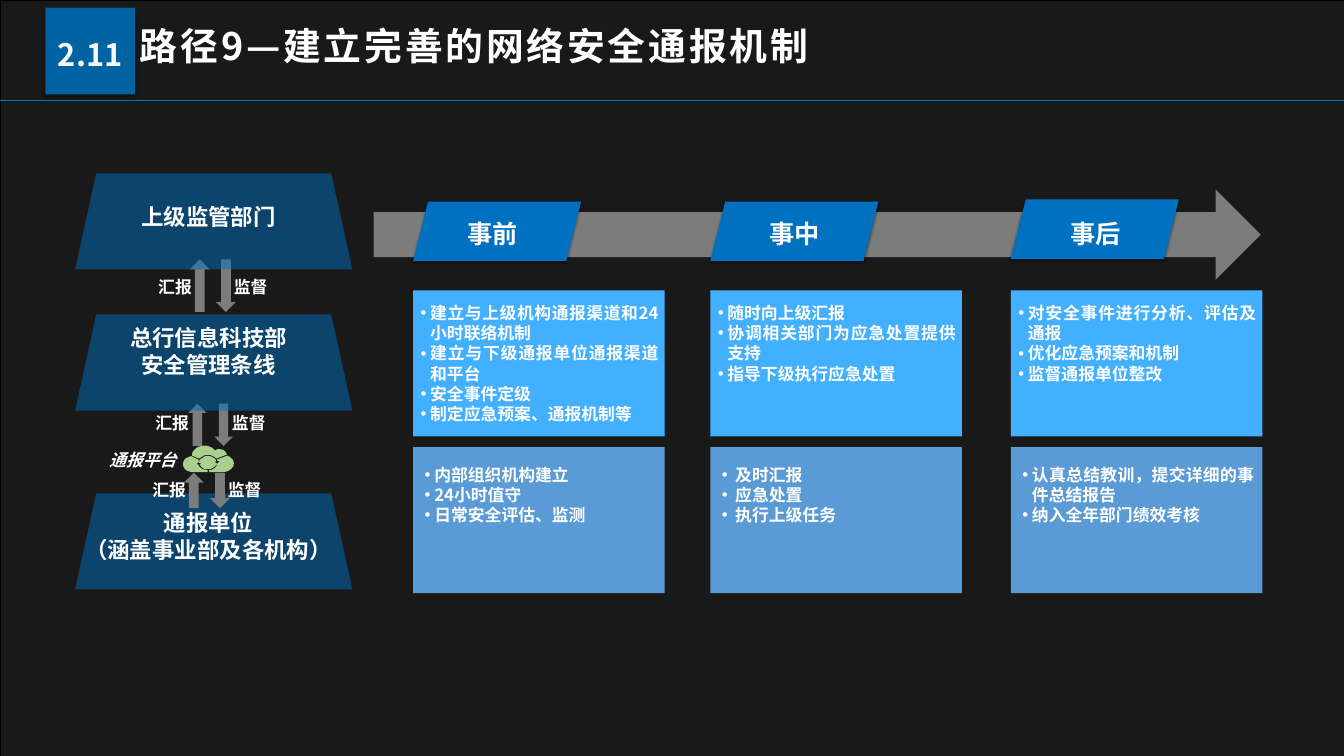
from pptx import Presentation
from pptx.dml.color import RGBColor
from pptx.enum.shapes import MSO_CONNECTOR, MSO_SHAPE
from pptx.enum.text import MSO_ANCHOR, PP_ALIGN
from pptx.oxml import parse_xml
from pptx.oxml.ns import nsdecls, qn
from pptx.util import Pt

RECT, TRAPEZOID = MSO_SHAPE.RECTANGLE, MSO_SHAPE.TRAPEZOID
PARALLELOGRAM, RIGHT_ARROW = MSO_SHAPE.PARALLELOGRAM, MSO_SHAPE.RIGHT_ARROW
UP_ARROW, DOWN_ARROW = MSO_SHAPE.UP_ARROW, MSO_SHAPE.DOWN_ARROW
ROUND_RECT = MSO_SHAPE.ROUNDED_RECTANGLE
LEFT, CENTER, JUSTIFY = PP_ALIGN.LEFT, PP_ALIGN.CENTER, PP_ALIGN.JUSTIFY
MIDDLE = MSO_ANCHOR.MIDDLE

FONT = "Noto Sans CJK SC"
WIDTH, HEIGHT = 1919.52, 1080
GREY, BLUE, WHITE = "7C7C7C", "0070C0", "FFFFFF"
HEADER_BLUE = "0072BC"

# Outlines on a grid of 0.72 pt; six numbers make a cubic curve, two a line.
CLOUD = [
    [(18, 20), (18, 19), (18, 9, 29, 0, 42, 0), (51, 0, 59, 4, 64, 10),
     (66, 8, 69, 7, 73, 7), (80, 7, 87, 12, 87, 18), (66, 26),
     (63, 22, 56, 19, 49, 19), (42, 19, 36, 22, 32, 26)],
    [(88, 20), (67, 28), (69, 31), (73, 31), (68, 36), (62, 32), (66, 32),
     (65, 28), (62, 24, 56, 21, 49, 21), (43, 21, 37, 24, 34, 28), (33, 30),
     (30, 30), (31, 28), (16, 21), (7, 23, 0, 29, 0, 37),
     (0, 46, 9, 53, 21, 53), (49, 53), (49, 49), (40, 49, 32, 44, 30, 37),
     (26, 38), (31, 33), (37, 37), (33, 37), (35, 43, 41, 47, 49, 47),
     (57, 47, 64, 43, 66, 38), (68, 38), (66, 44, 60, 48, 52, 49), (52, 53),
     (78, 53), (90, 53, 101, 45, 101, 35), (101, 29, 96, 23, 88, 20)],
]

# panel left, tag top, tag label offset, tag label, upper list, lower list, lower indent
STAGES = [
    (590, 288, 7.5, "事前",
     ["建立与上级机构通报渠道和24小时联络机制", "建立与下级通报单位通报渠道和平台",
      "安全事件定级", "制定应急预案、通报机制等"],
     ["内部组织机构建立", "24小时值守", "日常安全评估、监测"], 13.7),
    (1014.5, 288, 13.7, "事中",
     ["随时向上级汇报", "协调相关部门为应急处置提供支持", "指导下级执行应急处置"],
     ["及时汇报", "应急处置", "执行上级任务"], 19),
    (1443.6, 285, 14.4, "事后",
     ["对安全事件进行分析、评估及通报", "优化应急预案和机制", "监督通报单位整改"],
     ["认真总结教训，提交详细的事件总结报告", "纳入全年部门绩效考核"], 13.7),
]


def color(hex_value):
    return RGBColor.from_string(hex_value)


def add_block(s, kind, box, fill, alpha=None, shadow=False, line=None):
    sp = s.shapes.add_shape(kind, *map(Pt, box))
    paint(sp, fill, alpha)
    if line:
        sp.line.color.rgb = color(line)
        sp.line.width = Pt(1)
    if shadow:
        effects = sp._element.spPr.find(qn("a:effectLst"))
        effects.append(parse_xml(
            f'<a:outerShdw {nsdecls("a")} blurRad="{Pt(4)}" dist="{Pt(3)}" dir="5400000" '
            'rotWithShape="0"><a:srgbClr val="000000"><a:alpha val="40000"/>'
            '</a:srgbClr></a:outerShdw>'))
    return sp


def paint(sp, fill, alpha=None):
    """Plain fill with opacity in percent, without line or shadow."""
    sp.fill.solid()
    sp.fill.fore_color.rgb = color(fill)
    sp.line.fill.background()
    sp.shadow.inherit = False
    if alpha:
        clr = sp._element.spPr.find(qn("a:solidFill"))[0]
        clr.append(parse_xml(f'<a:alpha {nsdecls("a")} val="{alpha * 1000}"/>'))


def write(sp, lines, size=24, align=CENTER, fill=WHITE, italic=False,
          leading=1.2, spacing=0, bullet_indent=0):
    tf = sp.text_frame
    tf.word_wrap = True
    for i, text in enumerate(lines):
        p = tf.add_paragraph() if i else tf.paragraphs[0]
        p.alignment = align
        p.line_spacing = Pt(round(size * leading, 1))
        if bullet_indent:
            pPr = p._p.get_or_add_pPr()
            pPr.set("marL", str(Pt(bullet_indent)))
            pPr.set("indent", str(-Pt(bullet_indent)))
            pPr.append(parse_xml(f'<a:buFont {nsdecls("a")} typeface="Arial"/>'))
            pPr.append(parse_xml(f'<a:buChar {nsdecls("a")} char="•"/>'))
        r = p.add_run()
        r.text = text
        r.font.name, r.font.size = FONT, Pt(size)
        r.font.bold, r.font.italic = True, italic
        r.font.color.rgb = color(fill)
        rPr = r._r.get_or_add_rPr()
        rPr.append(parse_xml(f'<a:ea {nsdecls("a")} typeface="{FONT}"/>'))
        if spacing:
            rPr.set("spc", str(spacing * 100))


def add_text(s, box, *lines, **fmt):
    write(s.shapes.add_textbox(*map(Pt, box)), lines, **fmt)


def add_header(s, x, y):
    rule = s.shapes.add_connector(MSO_CONNECTOR.STRAIGHT, 0, Pt(143.3), Pt(WIDTH), Pt(143.3))
    rule.line.color.rgb = color(HEADER_BLUE)
    rule.line.width = Pt(2.25)
    rule._element.spPr.append(parse_xml(f'<a:effectLst {nsdecls("a")}/>'))
    add_text(s, (x + 128, y + 25, 1656, 104), "路径9—建立完善的网络安全通报机制",
             size=54, align=LEFT, leading=1.08, spacing=4)
    badge = add_block(s, RECT, (x, y, 128, 124), HEADER_BLUE, alpha=85, shadow=True)
    badge.text_frame.vertical_anchor = MIDDLE
    write(badge, ["2.11"], size=44, fill="F9F9F9", leading=1.44)


def add_cloud(s, x, y):
    builder = None
    for start, *segments in CLOUD:
        if builder is None:
            builder = s.shapes.build_freeform(*start, scale=Pt(0.72))
        else:
            builder.move_to(*start)
        points = [start]
        for seg in segments:
            if len(seg) == 2:
                points.append(seg)
                continue
            ctrl = points[-1] + seg
            for t in (0.2, 0.4, 0.6, 0.8, 1):
                weights = ((1 - t) ** 3, 3 * t * (1 - t) ** 2, 3 * t * t * (1 - t), t ** 3)
                points.append(tuple(round(sum(w * c for w, c in zip(weights, ctrl[axis::2])), 2)
                                    for axis in (0, 1)))
        builder.add_line_segments(points[1:], close=True)
    paint(builder.convert_to_shape(Pt(x), Pt(y)), "A9D18E")


def add_tier(s, box, text_drop, *lines):
    x, y, w, h = box
    sp = add_block(s, TRAPEZOID, box, BLUE, alpha=50)
    sp.adjustments[0] = 0.22
    add_text(s, (x, y + text_drop, w - 15, 46), *lines, size=32)


def add_exchange(s, box, label_drop):
    """Report arrow up and supervision arrow down, each with its label outside."""
    x, y, w, h = box
    down_x, label_w = x + 37.4, 98.6
    add_text(s, (x + w - label_w, y + label_drop, label_w, 36), "汇报")
    add_block(s, UP_ARROW, box, GREY)
    add_block(s, DOWN_ARROW, (down_x, y, w, h), GREY)
    add_text(s, (down_x, y + label_drop, label_w, 36), "监督")


def add_hierarchy(s, x, y):
    w, h = 396, 137.3
    add_cloud(s, x + 154, y + 388.8)
    add_tier(s, (x, y + 457, w, h), 19.5, "通报单位", "（涵盖事业部及各机构）")
    add_text(s, (x + 5.7, y + 391.7, 182, 36), "通报平台", italic=True)
    add_exchange(s, (x + 164, y + 123, 28, 75), 21)
    add_exchange(s, (x + 161.3, y + 329, 26.6, 60.5), 10)
    add_exchange(s, (x + 155.5, y + 427.7, 28, 50.4), 5.7)
    add_tier(s, (x, y + 201.6, w, h), 10.8, "总行信息科技部", "安全管理条线")
    add_tier(s, (x, y, w, h), 39.6, "上级监管部门")


def add_panel(s, box, fill, lines, inset, drop, indent):
    x, y, w, h = box
    add_block(s, ROUND_RECT, box, fill).adjustments[0] = 0
    add_text(s, (x + inset, y + drop, w - 1.5 * inset, h - 2 * drop), *lines,
             align=JUSTIFY, bullet_indent=indent)


def add_timeline(s, box):
    add_block(s, RIGHT_ARROW, box, GREY)
    y = box[1]
    for x, tag_y, label_dx, label, upper, lower, indent in STAGES:
        add_block(s, PARALLELOGRAM, (x, tag_y, 240, 85), BLUE, shadow=True)
        add_text(s, (x + label_dx, y + 38, 212.4, 51), label, size=36)
        add_panel(s, (x, y + 144, 359.3, 208.8), "43AFFF", upper, 3.6, 14.4, 13.7)
        add_panel(s, (x, y + 368, 359.3, 208.8), "5B9BD5", lower, 9.5, 20.9, indent)


def main():
    prs = Presentation()
    prs.slide_width, prs.slide_height = Pt(WIDTH), Pt(HEIGHT)
    s = prs.slides.add_slide(prs.slide_layouts[6])
    add_block(s, RECT, (0, 0, WIDTH, HEIGHT), "000000", alpha=90, line="000000")
    add_header(s, 64.8, 10.8)
    add_timeline(s, (533.5, 270.7, 1267.2, 129))
    add_hierarchy(s, 107.3, 247.7)
    prs.save("out.pptx")


if __name__ == "__main__":
    main()
